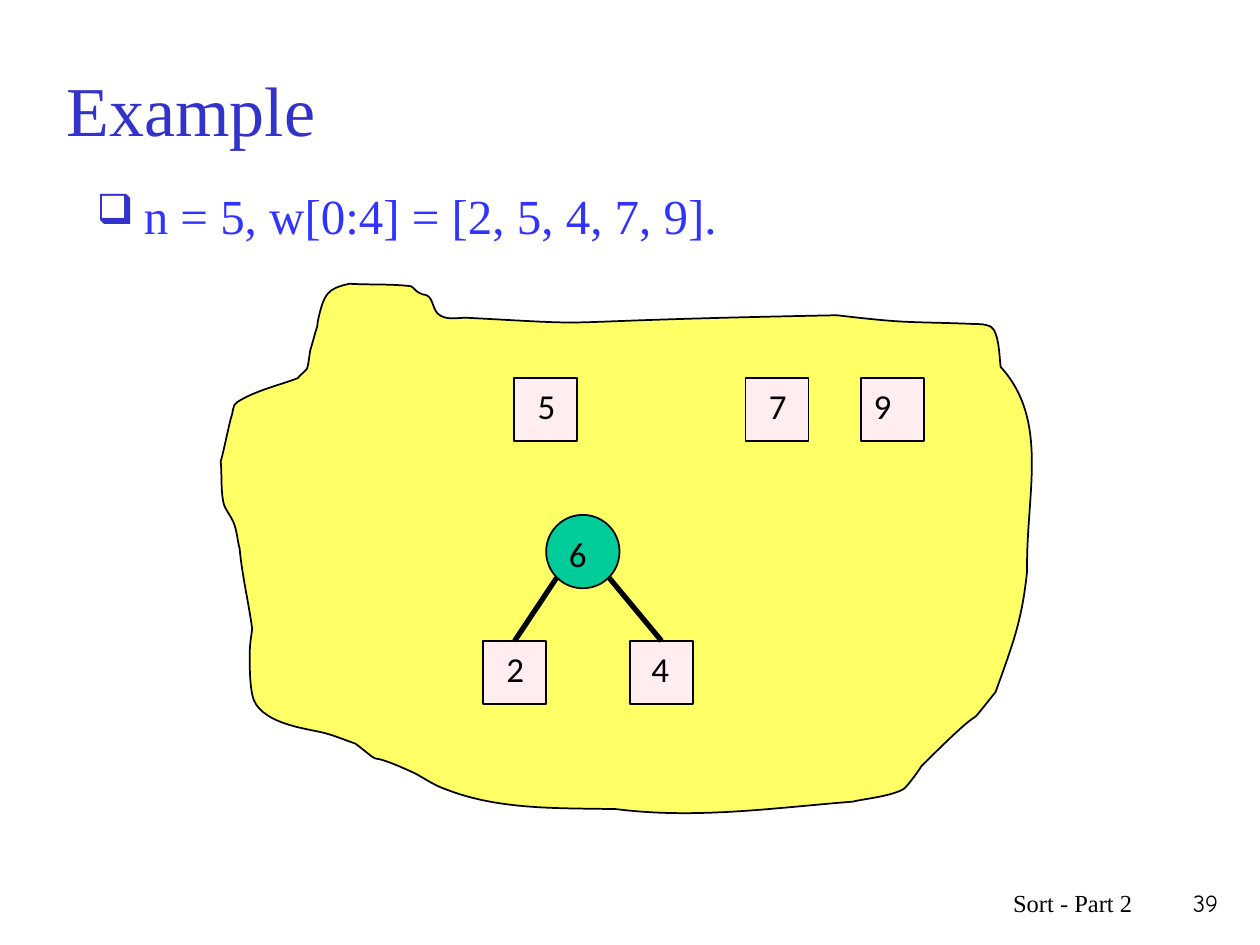
from lxml.etree import SubElement
from pptx import Presentation
from pptx.dml.color import RGBColor
from pptx.enum.shapes import MSO_CONNECTOR as Link, MSO_SHAPE as Kind
from pptx.enum.text import MSO_ANCHOR as Anchor, PP_ALIGN as Align
from pptx.oxml.ns import qn
from pptx.util import Cm, Pt

INK = {
    "title": "3333CC", "body": "3333FF", "text": "000000", "line": "000000",
    "cloud": "FFFF66", "leaf": "FFEDF0", "node": "00CC99",
}
SERIF, SANS, COMIC = "Times New Roman", "Calibri", "Comic Neue"
SIDE = 1.27   # leaf square
ROUND = 1.48  # inner node

# Cloud outline in hundredths of an inch: a start, then three points a curve
START = (61, 75)
CURVES = [
    (45, 81), (27, 85), (13, 94), (9, 96), (10, 103), (8, 107),
    (5, 119), (3, 130), (0, 141), (1, 152), (0, 163), (2, 173),
    (3, 179), (8, 184), (10, 189), (13, 196), (13, 203), (15, 210),
    (17, 232), (22, 252), (25, 274), (24, 281), (23, 287), (23, 294),
    (23, 305), (23, 316), (25, 326), (29, 349), (68, 353), (80, 356),
    (89, 358), (98, 362), (107, 365), (135, 387), (107, 367), (153, 388),
    (161, 392), (169, 398), (178, 401), (221, 418), (269, 416), (314, 417),
    (377, 425), (439, 416), (502, 411), (509, 409), (532, 407), (542, 401),
    (545, 399), (555, 385), (556, 383), (619, 320), (583, 364), (615, 324),
    (629, 285), (636, 267), (640, 228), (639, 167), (658, 109), (619, 66),
    (618, 60), (618, 38), (611, 34), (607, 32), (602, 32), (598, 32),
    (579, 31), (559, 31), (540, 30), (523, 29), (506, 27), (489, 25),
    (227, 30), (325, 34), (195, 27), (188, 27), (180, 29), (174, 25),
    (168, 22), (169, 11), (163, 9), (161, 9), (159, 8), (157, 7),
    (155, 6), (153, 3), (151, 2), (135, 0), (119, 1), (102, 0),
    (85, 4), (82, 7), (77, 30), (77, 33), (76, 36), (75, 39),
    (74, 43), (71, 53), (71, 53), (68, 73), (70, 65), START,
]


def tint(name):
    return RGBColor.from_string(INK[name])


def style(para, size, face, ink, align=Align.LEFT):
    para.alignment = align
    for run in para.runs:
        run.font.size = Pt(size)
        run.font.name = face
        run.font.color.rgb = tint(ink)


def label(slide, box, text, size, face, ink="text", align=Align.LEFT):
    frame = slide.shapes.add_textbox(*map(Cm, box)).text_frame
    frame.word_wrap = True
    frame.text = text
    style(frame.paragraphs[0], size, face, ink, align)
    return frame.paragraphs[0]


def paint(shape, ink):
    shape.shadow.inherit = False
    shape.fill.solid()
    shape.fill.fore_color.rgb = tint(ink)
    shape.line.color.rgb = tint("line")
    shape.line.width = Pt(1)


def leaf(slide, x, y, text, shift=0.22):
    paint(slide.shapes.add_shape(Kind.RECTANGLE, Cm(x), Cm(y), Cm(SIDE), Cm(SIDE)), "leaf")
    label(slide, (x + shift, y, 1.32, 1.09), text, 20, SANS)


def edge(slide, x1, y1, x2, y2):
    line = slide.shapes.add_connector(Link.STRAIGHT, Cm(x1), Cm(y1), Cm(x2), Cm(y2))
    line.line.color.rgb = tint("line")
    line.line.width = Pt(3)
    SubElement(line._element.spPr, qn("a:effectLst"))


def head(slide, box):
    title = slide.shapes.title
    title.left, title.top, title.width, title.height = map(Cm, box)
    title.text_frame.text = "Example"
    title.text_frame.vertical_anchor = Anchor.MIDDLE
    style(title.text_frame.paragraphs[0], 40, SERIF, "title")


def body(slide, box):
    para = label(slide, box, "n = 5, w[0:4] = [2, 5, 4, 7, 9].", 28, SERIF, "body")
    props = para._p.get_or_add_pPr()
    props.set("marL", str(Cm(0.95)))
    props.set("indent", str(Cm(-0.95)))
    color = SubElement(props, qn("a:buClr"))
    SubElement(color, qn("a:srgbClr"), val=INK["title"])
    SubElement(props, qn("a:buSzPct"), val="85000")
    SubElement(props, qn("a:buChar"), char="❑")


def cloud(slide, x, y):
    pen = slide.shapes.build_freeform(*START, scale=Cm(2.54) / 100)
    pen.add_line_segments(CURVES, close=True)
    shape = pen.convert_to_shape(Cm(x), Cm(y))
    paint(shape, "cloud")
    # Join each three line points into one curve
    steps = list(shape._element.iter(qn("a:lnTo")))
    for i in range(0, len(steps), 3):
        curve = steps[i].makeelement(qn("a:cubicBezTo"))
        steps[i].addprevious(curve)
        for step in steps[i:i + 3]:
            curve.append(step[0])
            step.getparent().remove(step)


def tree(slide, x, y):
    low = y + 2.54
    leaf(slide, x, low, "2")
    leaf(slide, x + 2.96, low, "4", 0.18)
    node = slide.shapes.add_shape(Kind.OVAL, Cm(x + 1.27), Cm(y), Cm(ROUND), Cm(ROUND))
    paint(node, "node")
    label(slide, (x + 1.48, y + 0.22, 1.07, 1.09), "6", 20, SANS)
    edge(slide, x + 1.48, y + 1.27, x + SIDE / 2, low)
    edge(slide, x + 2.54, y + 1.27, x + 2.96 + SIDE / 2, low)


def forest(slide, x, y):
    cloud(slide, x, y)
    # Single leaves
    for dx, text, shift in ((5.92, "5", 0.22), (10.58, "7", 0.22), (12.91, "9", 0)):
        leaf(slide, x + dx, y + 1.9, text, shift)
    tree(slide, x + 5.29, y + 4.66)


def foot(slide, x, y):
    label(slide, (x, y, 8.05, 1.27), "Sort - Part 2", 14, SERIF, align=Align.RIGHT)
    label(slide, (x + 8.05, y, 1.73, 1.27), "39", 14, COMIC, align=Align.RIGHT)


def main():
    deck = Presentation()
    deck.slide_width, deck.slide_height = Cm(25.4), Cm(19.05)
    slide = deck.slides.add_slide(deck.slide_layouts[5])
    forest(slide, 4.45, 5.72)
    head(slide, (1.09, 0.71, 21.59, 2.97))
    body(slide, (1.7, 3.61, 21.59, 1.7))
    foot(slide, 15.03, 17.78)
    deck.save("out.pptx")


if __name__ == "__main__":
    main()
